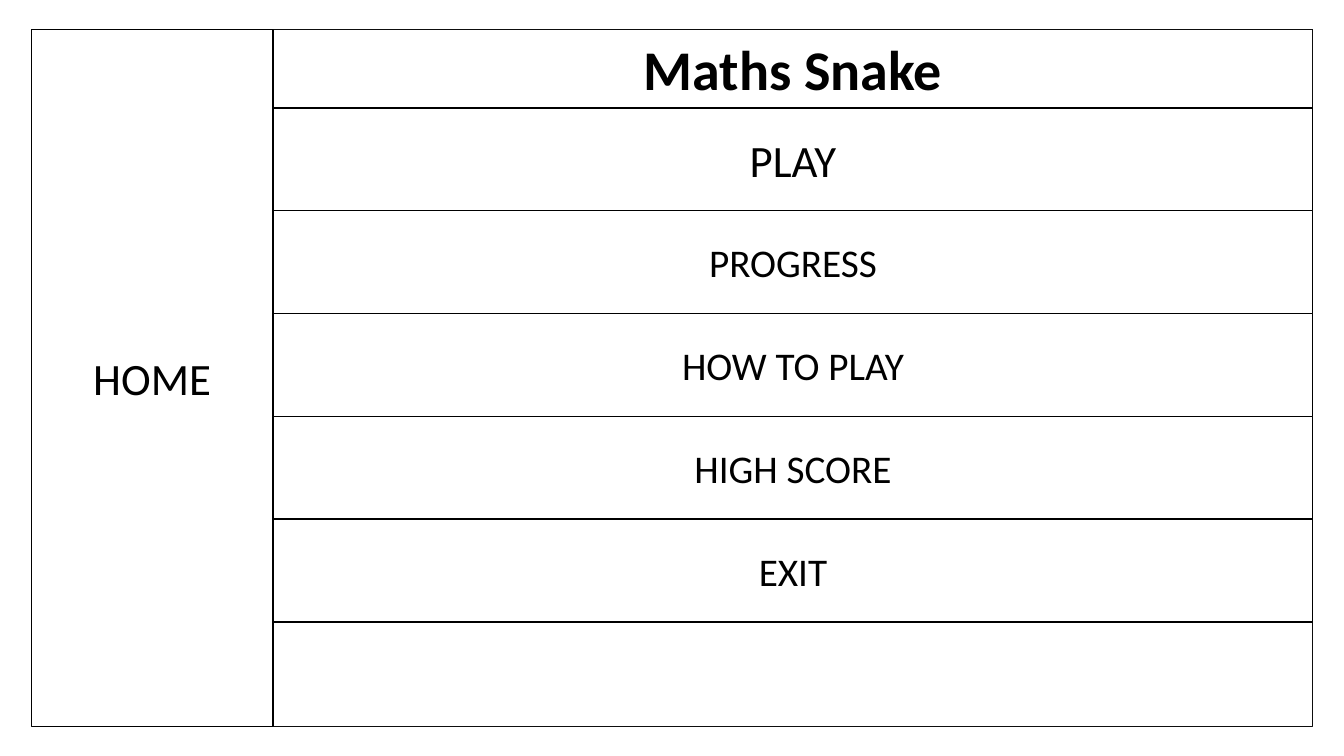
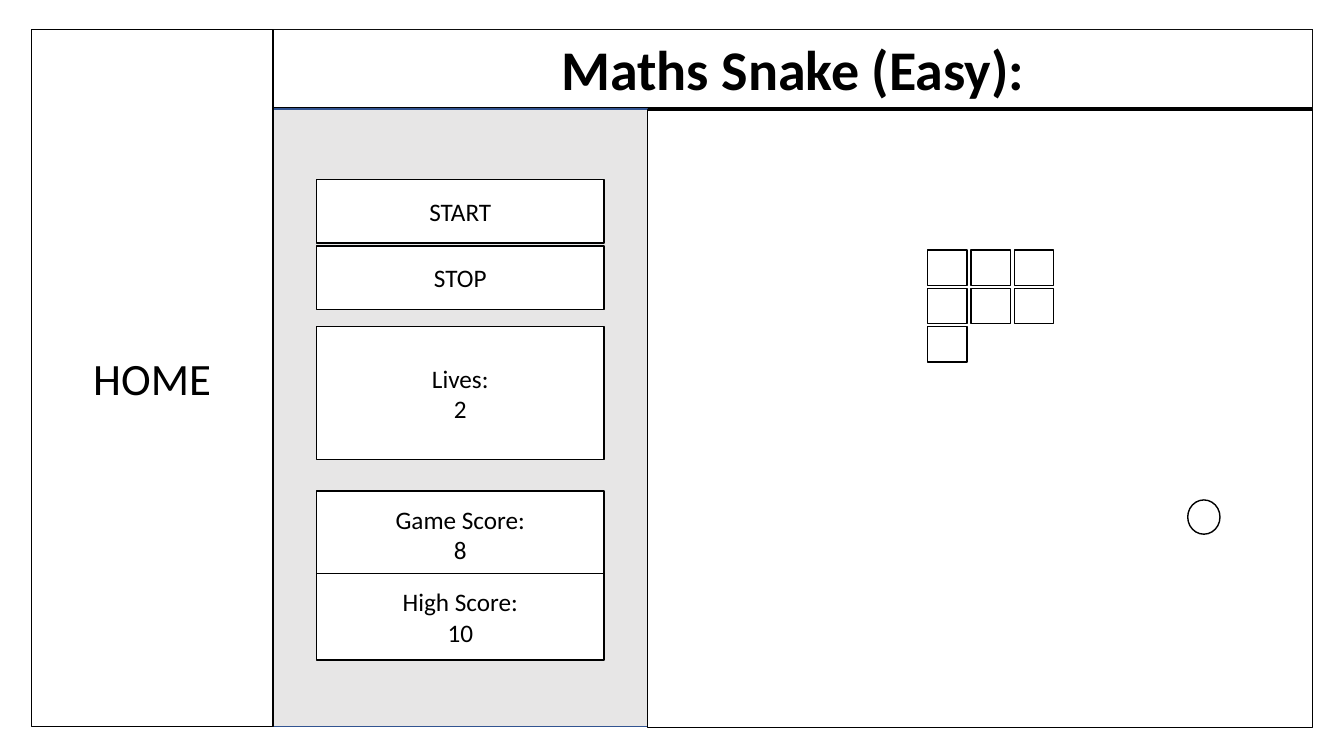
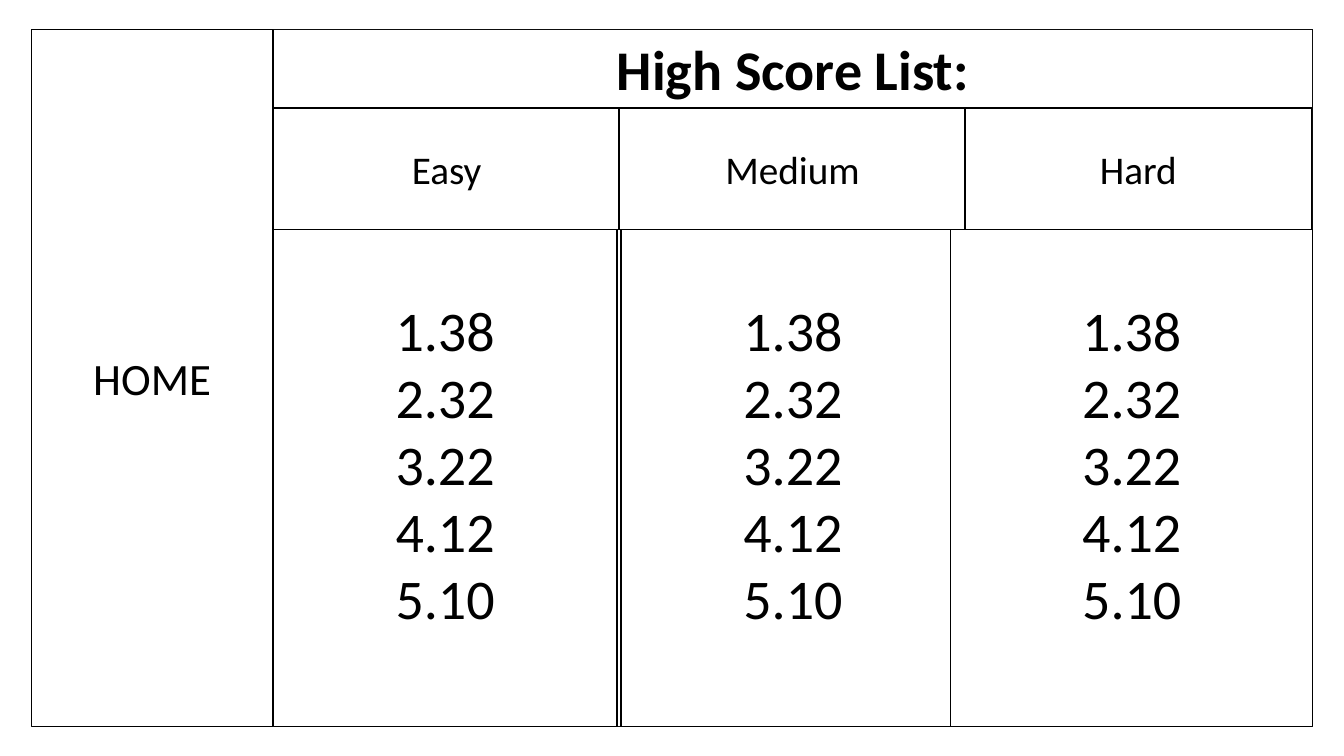
import pptx
import pptx.util
import pptx.dml.color
import pptx.enum.shapes
import pptx.enum.text
import lxml.etree
from pptx.util import Inches

BLACK = pptx.dml.color.RGBColor(0x00, 0x00, 0x00)
FRAME_LINE = pptx.dml.color.RGBColor(0x0D, 0x0D, 0x0D)
WHITE = pptx.dml.color.RGBColor(0xFF, 0xFF, 0xFF)
PANEL_GREY = pptx.dml.color.RGBColor(0xE7, 0xE6, 0xE6)
PANEL_LINE = pptx.dml.color.RGBColor(0x32, 0x54, 0x91)

RECTANGLE = pptx.enum.shapes.MSO_SHAPE.RECTANGLE
OVAL = pptx.enum.shapes.MSO_SHAPE.OVAL
FONT = "Calibri"
TITLE_ONLY = 5

FRAME_LEFT, FRAME_TOP, FRAME_WIDTH, FRAME_HEIGHT = 0.31, 0.29, 12.71, 6.92
HOME_WIDTH = 2.4
MAIN_LEFT, MAIN_WIDTH = 2.71, 10.31
TITLE_HEIGHT = 0.78
MAIN_TOP = 1.07


def paint(shape, fill, line):
    if fill is None:
        shape.fill.background()
    else:
        shape.fill.solid()
        shape.fill.fore_color.rgb = fill
    shape.line.color.rgb = line
    shape.line.width = pptx.util.Pt(1)


def write(shape, text, size, bold=False):
    frame = shape.text_frame
    frame.text = text
    frame.word_wrap = True
    frame.auto_size = pptx.enum.text.MSO_AUTO_SIZE.NONE
    frame.vertical_anchor = pptx.enum.text.MSO_ANCHOR.MIDDLE
    for para in frame.paragraphs:
        para.alignment = pptx.enum.text.PP_ALIGN.CENTER
        for span in para.runs:
            span.font.name = FONT
            span.font.size = pptx.util.Pt(size)
            span.font.bold = bold
            span.font.color.rgb = BLACK


def add_box(page, left, top, width, height, text="", size=18,
            fill=WHITE, line=BLACK, kind=RECTANGLE):
    box = page.shapes.add_shape(
        kind, Inches(left), Inches(top), Inches(width), Inches(height))
    box.shadow.inherit = False
    paint(box, fill, line)
    if text:
        write(box, text, size)
    return box


def number_paragraphs(box):
    for para in box.text_frame.paragraphs:
        properties = para._p.get_or_add_pPr()
        properties.set("marL", str(Inches(0.38)))
        properties.set("indent", str(Inches(-0.38)))
        lxml.etree.SubElement(
            properties, pptx.oxml.ns.qn("a:buAutoNum"), type="arabicPeriod")


def add_page(deck, title):
    page = deck.slides.add_slide(deck.slide_layouts[TITLE_ONLY])
    add_box(page, FRAME_LEFT, FRAME_TOP, FRAME_WIDTH, FRAME_HEIGHT,
            fill=None, line=FRAME_LINE)
    heading = page.shapes.title
    heading.left, heading.top = Inches(MAIN_LEFT), Inches(FRAME_TOP)
    heading.width, heading.height = Inches(MAIN_WIDTH), Inches(TITLE_HEIGHT)
    paint(heading, WHITE, BLACK)
    write(heading, title, 40, bold=True)
    return page


def add_home(page):
    add_box(page, FRAME_LEFT, FRAME_TOP, HOME_WIDTH, FRAME_HEIGHT, "HOME", 32)


def build_menu(deck):
    page = add_page(deck, "Maths Snake")
    entries = [("PLAY", 32), ("PROGRESS", 28), ("HOW TO PLAY", 28),
               ("HIGH SCORE", 28), ("EXIT", 28)]
    height = 1.02
    for row, (label, size) in enumerate(entries):
        add_box(page, MAIN_LEFT, MAIN_TOP + row * height, MAIN_WIDTH, height,
                label, size)
    add_home(page)


def build_game(deck):
    page = add_page(deck, "Maths Snake (Easy):")
    add_box(page, MAIN_LEFT, 1.08, 3.71, 6.13, fill=PANEL_GREY, line=PANEL_LINE)
    add_box(page, 6.42, 1.09, 6.6, 6.13)
    controls = [(1.78, 0.63, "START"), (2.44, 0.63, "STOP"),
                (3.24, 1.32, "Lives:\n2"), (4.87, 0.86, "Game Score:\n8"),
                (5.69, 0.86, "High Score:\n10")]
    for top, height, label in controls:
        add_box(page, 3.14, top, 2.85, height, label)
    snake_cells = [(2, 0), (1, 0), (0, 0), (0, 1), (0, 2), (2, 1), (1, 1)]
    for column, row in snake_cells:
        add_box(page, 9.2 + column * 0.43, 2.48 + row * 0.38, 0.39, 0.35)
    add_box(page, 11.78, 4.96, 0.32, 0.34, kind=OVAL)
    add_home(page)


def build_scores(deck):
    page = add_page(deck, "High Score List:")
    for column, level in enumerate(["Easy", "Medium", "Hard"]):
        add_box(page, MAIN_LEFT + column * 3.43, MAIN_TOP, 3.44, 1.21, level, 28)
    for left, width in [(MAIN_LEFT, 3.41), (6.16, 3.41), (9.43, 3.59)]:
        scores = add_box(page, left, 2.28, width, 4.93,
                         "38\n32\n22\n12\n10", 40)
        scores.text_frame.margin_bottom = Inches(0.35)
        number_paragraphs(scores)
    add_home(page)


def main():
    deck = pptx.Presentation()
    deck.slide_width = Inches(13.33)
    deck.slide_height = Inches(7.5)
    build_menu(deck)
    build_game(deck)
    build_scores(deck)
    deck.save("out.pptx")


main()
